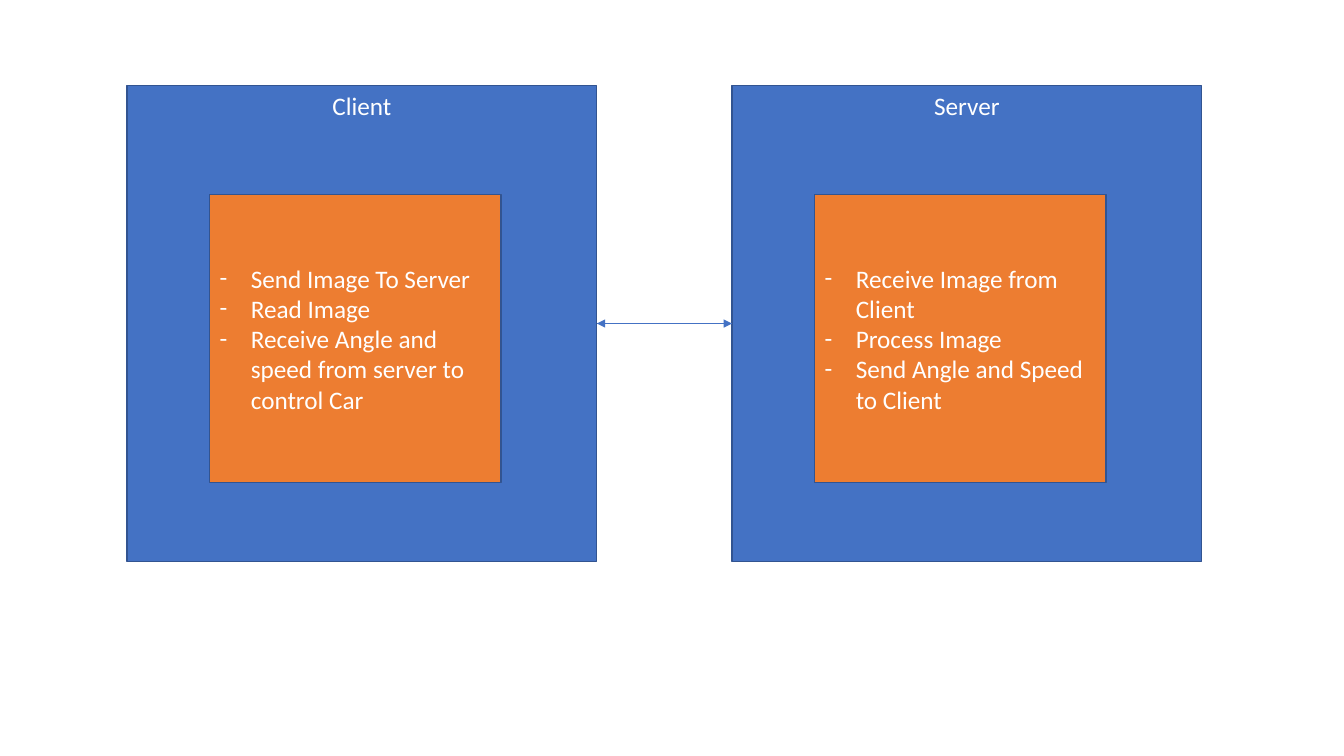
from pptx import Presentation
from pptx.dml.color import RGBColor
from pptx.enum.shapes import MSO_CONNECTOR, MSO_SHAPE
from pptx.enum.text import MSO_ANCHOR as ANCHOR, PP_ALIGN as ALIGN
from pptx.oxml.ns import qn
from pptx.util import Inches, Pt
from lxml import etree

BLUE, ORANGE, EDGE, WHITE = "4472C4", "ED7D31", "325491", "FFFFFF"
PANEL_W, PANEL_H, PANEL_TOP = 4.66, 4.72, 0.85
CLIENT_LEFT, SERVER_LEFT = 1.26, 7.26


def paint(color, value):
    color.rgb = RGBColor.from_string(value)


def add_box(s, x, y, w, h, fill, lines, align, anchor):
    sp = s.shapes.add_shape(MSO_SHAPE.RECTANGLE, Inches(x), Inches(y), Inches(w), Inches(h))
    sp.shadow.inherit = False
    sp.fill.solid()
    paint(sp.fill.fore_color, fill)
    paint(sp.line.color, EDGE)
    sp.line.width = Pt(1)
    tf = sp.text_frame
    tf.word_wrap = True
    tf.vertical_anchor = anchor
    tf.text = "\n".join(lines)
    for p in tf.paragraphs:
        p.alignment = align
        for r in p.runs:
            r.font.name = "Calibri"
            r.font.size = Pt(18)
            paint(r.font.color, WHITE)
    return tf


def add_dash(p):
    pPr = p._p.get_or_add_pPr()
    pPr.set("marL", str(Inches(0.31)))
    pPr.set("indent", str(-Inches(0.31)))
    etree.SubElement(pPr, qn("a:buFont")).set("typeface", "Calibri")
    etree.SubElement(pPr, qn("a:buChar")).set("char", "-")


def add_panel(s, x, y, name, tasks):
    add_box(s, x, y, PANEL_W, PANEL_H, BLUE, [name], ALIGN.CENTER, ANCHOR.TOP)
    tf = add_box(s, x + 0.82, y + 1.08, 2.89, 2.86, ORANGE, tasks, ALIGN.LEFT, ANCHOR.MIDDLE)
    for p in tf.paragraphs:
        add_dash(p)


def add_arrow(s, start, end, y):
    arrow = s.shapes.add_connector(MSO_CONNECTOR.STRAIGHT, Inches(start), Inches(y),
                                   Inches(end), Inches(y))
    paint(arrow.line.color, BLUE)
    arrow.line.width = Pt(0.5)
    etree.SubElement(arrow.line._get_or_add_ln(), qn("a:tailEnd")).set("type", "triangle")
    etree.SubElement(arrow._element.spPr, qn("a:effectLst"))


prs = Presentation()
prs.slide_width, prs.slide_height = Inches(13.33), Inches(7.5)
s = prs.slides.add_slide(prs.slide_layouts[6])

# Client and server panels
add_panel(s, CLIENT_LEFT, PANEL_TOP, "Client", [
    "Send Image To Server",
    "Read Image",
    "Receive Angle and speed from server to control Car",
])
add_panel(s, SERVER_LEFT, PANEL_TOP, "Server", [
    "Receive Image from Client",
    "Process Image",
    "Send Angle and Speed to Client",
])

# Messages in both directions
client_right, middle = CLIENT_LEFT + PANEL_W, PANEL_TOP + PANEL_H / 2
add_arrow(s, client_right, SERVER_LEFT, middle)
add_arrow(s, SERVER_LEFT, client_right, middle)

prs.save("out.pptx")
